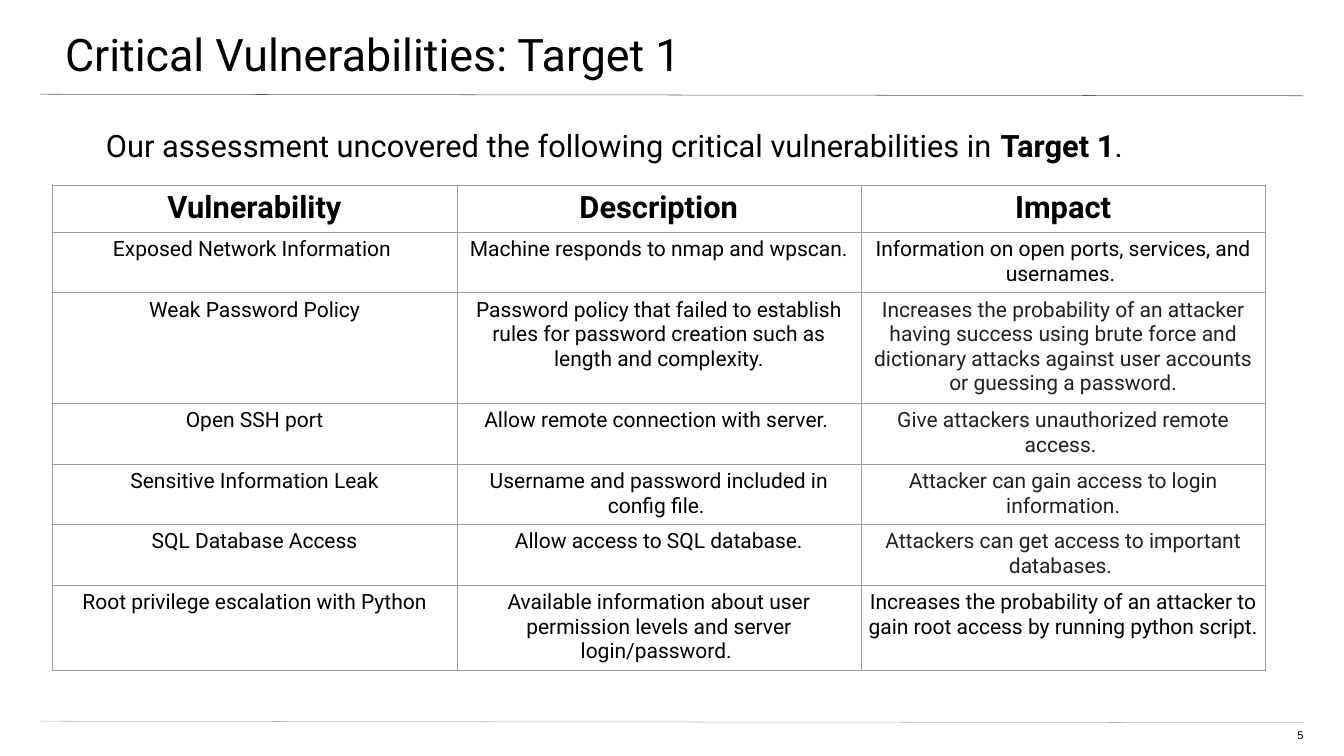
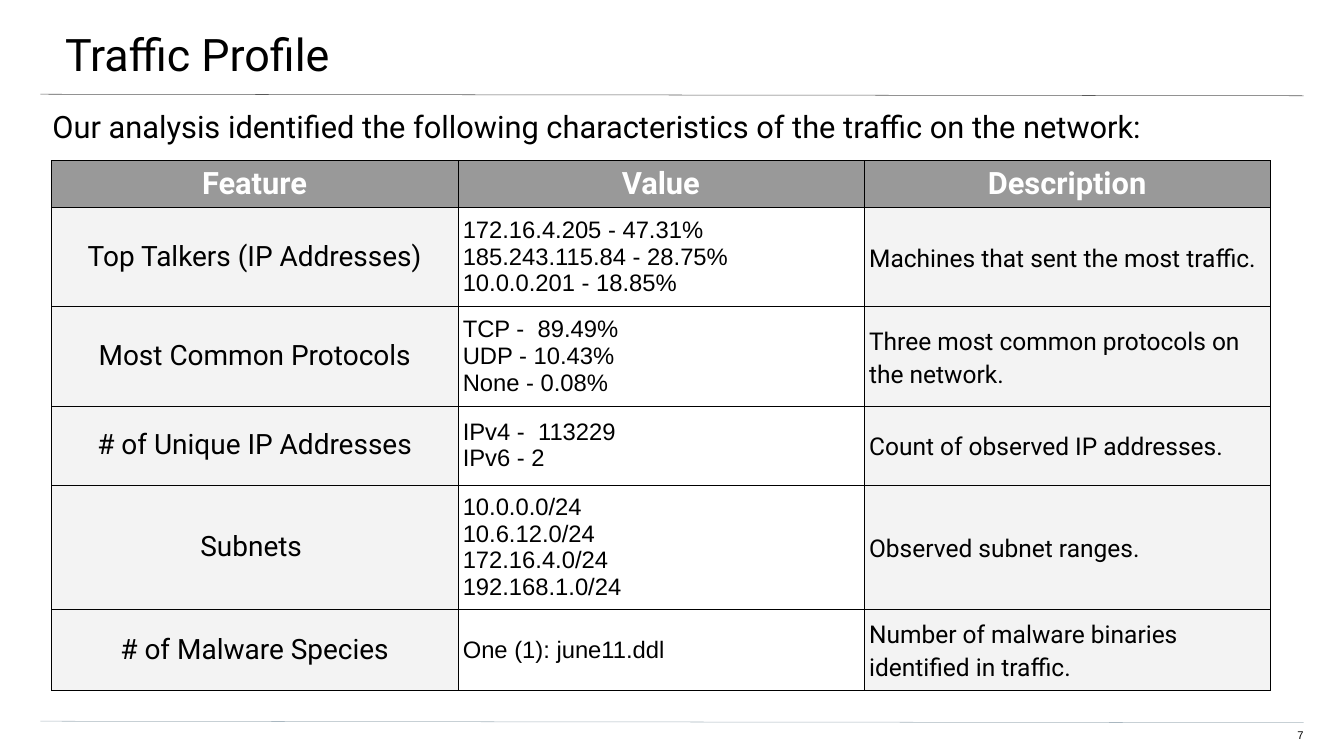
from lxml.etree import SubElement
from pptx import Presentation
from pptx.dml.color import RGBColor
from pptx.enum.shapes import MSO_CONNECTOR
from pptx.enum.text import MSO_ANCHOR, PP_ALIGN
from pptx.oxml import parse_xml
from pptx.oxml.ns import nsdecls, qn
from pptx.util import Inches, Pt

W, H = 26.66, 15
MARGIN = 0.03 * W
BLACK = RGBColor(0x00, 0x00, 0x00)
WHITE = RGBColor(0xFF, 0xFF, 0xFF)
CHARCOAL = RGBColor(0x20, 0x21, 0x24)
HEADER_GREY = RGBColor(0x99, 0x99, 0x99)
PALE_GREY = RGBColor(0xF3, 0xF3, 0xF3)
BORDER_GREY = RGBColor(0x9E, 0x9E, 0x9E)
TITLE_RULE = RGBColor(0x59, 0x59, 0x59)
FOOTER_RULE = RGBColor(0xA9, 0xB7, 0xC0)


def add_text(p, text, size=44, font="Roboto", color=BLACK, bold=False,
             align=PP_ALIGN.LEFT, after=0, spacing=None):
    """Append a run to paragraph p and set the paragraph's layout."""
    p.alignment = align
    p.space_after = Pt(after)
    if spacing:
        p.line_spacing = spacing
    r = p.add_run()
    r.text = text
    r.font.size = Pt(size)
    r.font.name = font
    r.font.bold = bold
    r.font.color.rgb = color


def add_box(s, left, top, width, height, insets):
    """Add an empty text box and return its first paragraph."""
    tf = s.shapes.add_textbox(*map(Inches, (left, top, width, height))).text_frame
    tf.word_wrap = True
    tf.vertical_anchor = MSO_ANCHOR.TOP
    tf.margin_left, tf.margin_top, tf.margin_right, tf.margin_bottom = map(Inches, insets)
    return tf.paragraphs[0]


centered = dict(size=30, align=PP_ALIGN.CENTER)
feature = dict(size=40, align=PP_ALIGN.CENTER)
value = dict(size=34, font="Arial")
description = dict(size=35, after=10, spacing=1.15)

slides = [
    dict(
        title="Critical Vulnerabilities: Target 1",
        number="5",
        intro=[("Our assessment uncovered the following critical vulnerabilities in ", False),
               ("Target 1", True), (".", False)],
        intro_box=(0.77, 2.51, 25.09, 1),
        table_at=(1.04, 3.67),
        table_height=9.63,
        column_width=8.02,
        row_heights=[0.42, 0.42, 0.42, 0.49, 0.49, 0.42, 0.42],
        border=BORDER_GREY,
        anchor=MSO_ANCHOR.TOP,
        header_color=BLACK,
        header_fill=None,
        column_formats=[centered] * 3,
        column_fills=[None] * 3,
        charcoal_cells=[(row, 2) for row in range(2, 6)],
        rows=[
            ("Vulnerability", "Description", "Impact"),
            ("Exposed Network Information ", "Machine responds to nmap and wpscan.",
             "Information on open ports, services, and usernames. "),
            ("Weak Password Policy",
             "Password policy that failed to establish rules for password creation "
             "such as length and complexity.",
             "Increases the probability of an attacker having success using brute force "
             "and dictionary attacks against user accounts or guessing a password."),
            ("Open SSH port", "Allow remote connection with server. ",
             "Give attackers unauthorized remote access. "),
            ("Sensitive Information Leak", "Username and password included in config file. ",
             "Attacker can gain access to login information."),
            ("SQL Database Access", "Allow access to SQL database.",
             "Attackers can get access to important databases. "),
            ("Root privilege escalation with Python",
             "Available information about user permission levels and server login/password. ",
             "Increases the probability of an attacker to gain root access by running "
             "python script. "),
        ],
    ),
    dict(
        title="Traffic Profile",
        number="7",
        intro=[("Our analysis identified the following characteristics of the traffic "
                "on the network:", False)],
        intro_box=(-0.29, 2.13, 25.09, 1),
        table_at=(1.02, 3.18),
        table_height=10.52,
        column_width=8.06,
        row_heights=[0.89, 1.97, 1.97, 1.57, 1.97, 1.61],
        border=BLACK,
        anchor=MSO_ANCHOR.MIDDLE,
        header_color=WHITE,
        header_fill=HEADER_GREY,
        column_formats=[feature, value, description],
        column_fills=[PALE_GREY, None, PALE_GREY],
        charcoal_cells=[],
        rows=[
            ("Feature", "Value", "Description"),
            ("Top Talkers (IP Addresses)",
             "172.16.4.205 - 47.31%\n185.243.115.84 - 28.75%\n10.0.0.201 - 18.85%",
             "Machines that sent the most traffic."),
            ("Most Common Protocols", "TCP -  89.49%\nUDP - 10.43%\nNone - 0.08%",
             "Three most common protocols on the network."),
            ("# of Unique IP Addresses", "IPv4 -  113229\nIPv6 - 2",
             "Count of observed IP addresses."),
            ("Subnets ", "10.0.0.0/24\n10.6.12.0/24\n172.16.4.0/24\n192.168.1.0/24",
             "Observed subnet ranges."),
            ("# of Malware Species", "One (1): june11.ddl",
             "Number of malware binaries identified in traffic."),
        ],
    ),
]

prs = Presentation()
prs.slide_width, prs.slide_height = Inches(W), Inches(H)

for content in slides:
    s = prs.slides.add_slide(prs.slide_layouts[6])

    for y, color in ((1.87, TITLE_RULE), (14.31, FOOTER_RULE)):
        rule = s.shapes.add_connector(MSO_CONNECTOR.STRAIGHT, Inches(MARGIN), Inches(y),
                                      Inches(W - MARGIN), Inches(y + 0.03))
        rule.line.color.rgb = color
        rule.line.width = Pt(0.75)
        SubElement(rule._element.spPr, qn("a:effectLst"))

    p = add_box(s, -0.04, 0, 26.73, 1.56, (1.33, 0.53, 0.8, 0.27))
    add_text(p, content["title"], size=64)
    p = add_box(s, 25.1, 14.46, 0.76, 0.31, (0, 0, 0, 0.27))
    add_text(p, content["number"], size=16, font="Arial", align=PP_ALIGN.RIGHT)
    p = add_box(s, *content["intro_box"], (1.33, 0, 1.33, 0))
    for text, bold in content["intro"]:
        add_text(p, text, bold=bold)

    rows, heights = content["rows"], content["row_heights"]
    left, top = content["table_at"]
    frame = s.shapes.add_table(len(rows), 3, Inches(left), Inches(top),
                               Inches(3 * content["column_width"]), Inches(sum(heights)))
    table = frame.table
    table.first_row = table.horz_banding = False
    for column in table.columns:
        column.width = Inches(content["column_width"])

    for i, texts in enumerate(rows):
        table.rows[i].height = Inches(heights[i])
        for j, text in enumerate(texts):
            if i == 0:
                fmt = dict(color=content["header_color"], bold=True, align=PP_ALIGN.CENTER)
                fill = content["header_fill"]
            else:
                fmt = dict(content["column_formats"][j])
                fill = content["column_fills"][j]
            if (i, j) in content["charcoal_cells"]:
                fmt["color"] = CHARCOAL

            cell = table.cell(i, j)
            cell.vertical_anchor = content["anchor"]
            cell.margin_left = cell.margin_right = Inches(0.1)
            cell.margin_top = cell.margin_bottom = Inches(0.1)
            tcPr = cell._tc.get_or_add_tcPr()
            for side in ("lnL", "lnR", "lnT", "lnB"):
                tcPr.append(parse_xml(
                    f'<a:{side} {nsdecls("a")} w="{Pt(0.75)}"><a:solidFill>'
                    f'<a:srgbClr val="{content["border"]}"/></a:solidFill></a:{side}>'))
            if fill is None:
                cell.fill.background()
            else:
                cell.fill.solid()
                cell.fill.fore_color.rgb = fill

            tf = cell.text_frame
            for k, line in enumerate(text.split("\n")):
                p = tf.add_paragraph() if k else tf.paragraphs[0]
                add_text(p, line, **fmt)
    frame.height = Inches(content["table_height"])

prs.save("out.pptx")
